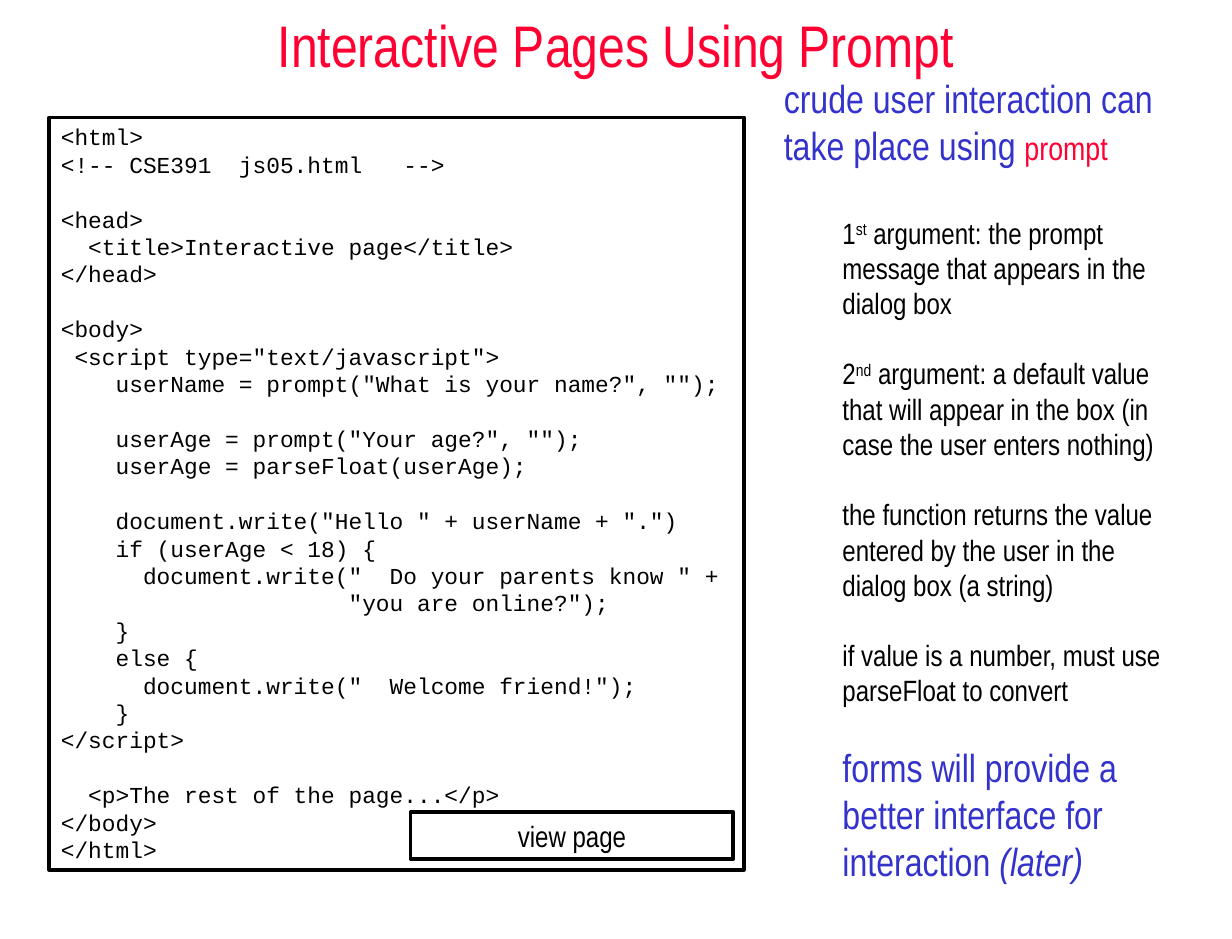
from lxml import etree
from pptx import Presentation
from pptx.dml.color import RGBColor
from pptx.enum.shapes import MSO_SHAPE
from pptx.enum.text import MSO_ANCHOR, MSO_AUTO_SIZE, PP_ALIGN
from pptx.oxml.ns import qn
from pptx.util import Inches, Pt

RECTANGLE = MSO_SHAPE.RECTANGLE
TOP, MIDDLE = MSO_ANCHOR.TOP, MSO_ANCHOR.MIDDLE
LEFT, CENTER = PP_ALIGN.LEFT, PP_ALIGN.CENTER
NO_FIT = MSO_AUTO_SIZE.NONE

CODE = """<html>
<!-- CSE391  js05.html   -->

<head>
  <title>Interactive page</title>
</head>

<body>
 <script type="text/javascript">
    userName = prompt("What is your name?", "");

    userAge = prompt("Your age?", "");
    userAge = parseFloat(userAge);

    document.write("Hello " + userName + ".")
    if (userAge < 18) {
      document.write("  Do your parents know " +
                     "you are online?");
    }
    else {
      document.write("  Welcome friend!");
    }
</script>

  <p>The rest of the page...</p>
</body>
</html>"""


def color(value):
    return RGBColor.from_string(value)


def apply(target, values):
    for name, value in values.items():
        setattr(target, name, value)


class SlideBuilder:
    narrow, mono = "Arial Narrow", "Courier New"
    red, blue, black = "FF0033", "3333CC", "000000"
    leading = 1.2

    def __init__(self, slide):
        self.slide = slide

    def place(self, shape, left, top, width, height, anchor=TOP):
        apply(shape, {"left": Inches(left), "top": Inches(top),
                      "width": Inches(width), "height": Inches(height)})
        apply(shape.text_frame, {"word_wrap": True, "auto_size": NO_FIT,
                                 "vertical_anchor": anchor})
        return shape.text_frame

    def span(self, para, text, size, ink, font=None, italic=False, raised=False):
        span = para.add_run()
        span.text = text
        apply(span.font, {"name": font or self.narrow, "size": Pt(size), "italic": italic})
        span.font.color.rgb = color(ink)
        if raised:
            span._r.get_or_add_rPr().set("baseline", "30000")

    def para(self, frame, size, first=False, gap=0, indent=0, align=LEFT):
        """Add an unbulleted paragraph; gap is the space above in points."""
        para = frame.paragraphs[0] if first else frame.add_paragraph()
        apply(para, {"alignment": align, "line_spacing": Pt(size * self.leading),
                     "space_before": Pt(gap), "space_after": Pt(0)})
        properties = para._p.get_or_add_pPr()
        properties.set("marL", str(Inches(indent)))
        properties.set("indent", "0")
        etree.SubElement(properties, qn("a:buNone"))
        return para

    def title(self, text, *position):
        frame = self.place(self.slide.shapes.title, *position, anchor=MIDDLE)
        para = self.para(frame, 36, first=True, align=CENTER)
        self.span(para, text, 36, self.red)

    def frame(self, *position, anchor=TOP):
        """Draw an unfilled black-outlined rectangle and return its text frame."""
        box = self.slide.shapes.add_shape(RECTANGLE, *map(Inches, position))
        box.shadow.inherit = False
        box.fill.background()
        box.line.color.rgb = color(self.black)
        box.line.width = Pt(2.25)
        return self.place(box, *position, anchor=anchor)

    def code(self, source, *position):
        size = 14
        frame = self.frame(*position)
        gap = 0
        for number, line in enumerate(source.splitlines()):
            if line:
                para = self.para(frame, size, first=number == 0, gap=gap)
                self.span(para, line, size, self.black, self.mono)
            gap = 0 if line else size * self.leading

    def button(self, text, *position):
        frame = self.frame(*position, anchor=MIDDLE)
        para = self.para(frame, 18, first=True, align=CENTER)
        self.span(para, text, 18, self.black)

    def body(self, entries, *position):
        frame = self.place(self.slide.placeholders[1], *position)
        for number, (size, gap, indent, spans) in enumerate(entries):
            para = self.para(frame, size, number == 0, gap, indent)
            for text, values in spans:
                self.span(para, text, **{"size": size, "ink": self.black, **values})


def main():
    deck = Presentation()
    deck.slide_width, deck.slide_height = Inches(10.5), Inches(8)
    page = SlideBuilder(deck.slides.add_slide(deck.slide_layouts[1]))
    blue, raised = {"ink": page.blue}, {"raised": True}
    wide_gap, gap = 24 * page.leading, 18 * page.leading

    page.title("Interactive Pages Using Prompt", 0, 0, 10.5, 0.75)
    page.code(CODE, 0.42, 1, 5.92, 6.41)
    page.body([
        (24, 0, 0, [("crude user interaction can take place using ", blue),
                    ("prompt", {"size": 20, "ink": page.red})]),
        (18, wide_gap, 0.5, [
            ("1", {}), ("st", raised),
            (" argument: the prompt message that appears in the dialog box", {})]),
        (18, gap, 0.5, [
            ("2", {}), ("nd", raised),
            (" argument: a default value that will appear in the box "
             "(in case the user enters nothing)", {})]),
        (18, gap, 0.5, [("the function returns the value entered by the user "
                         "in the dialog box (a string)", {})]),
        (18, gap, 0.5, [("if value is a number, must use parseFloat to convert", {})]),
        (24, gap, 0.5, [("forms will provide a better interface for interaction ", blue),
                        ("(later)", {**blue, "italic": True})]),
    ], 6.58, 0.58, 3.58, 7.27)
    page.button("view page", 3.5, 6.92, 2.75, 0.4)
    deck.save("out.pptx")


if __name__ == "__main__":
    main()
